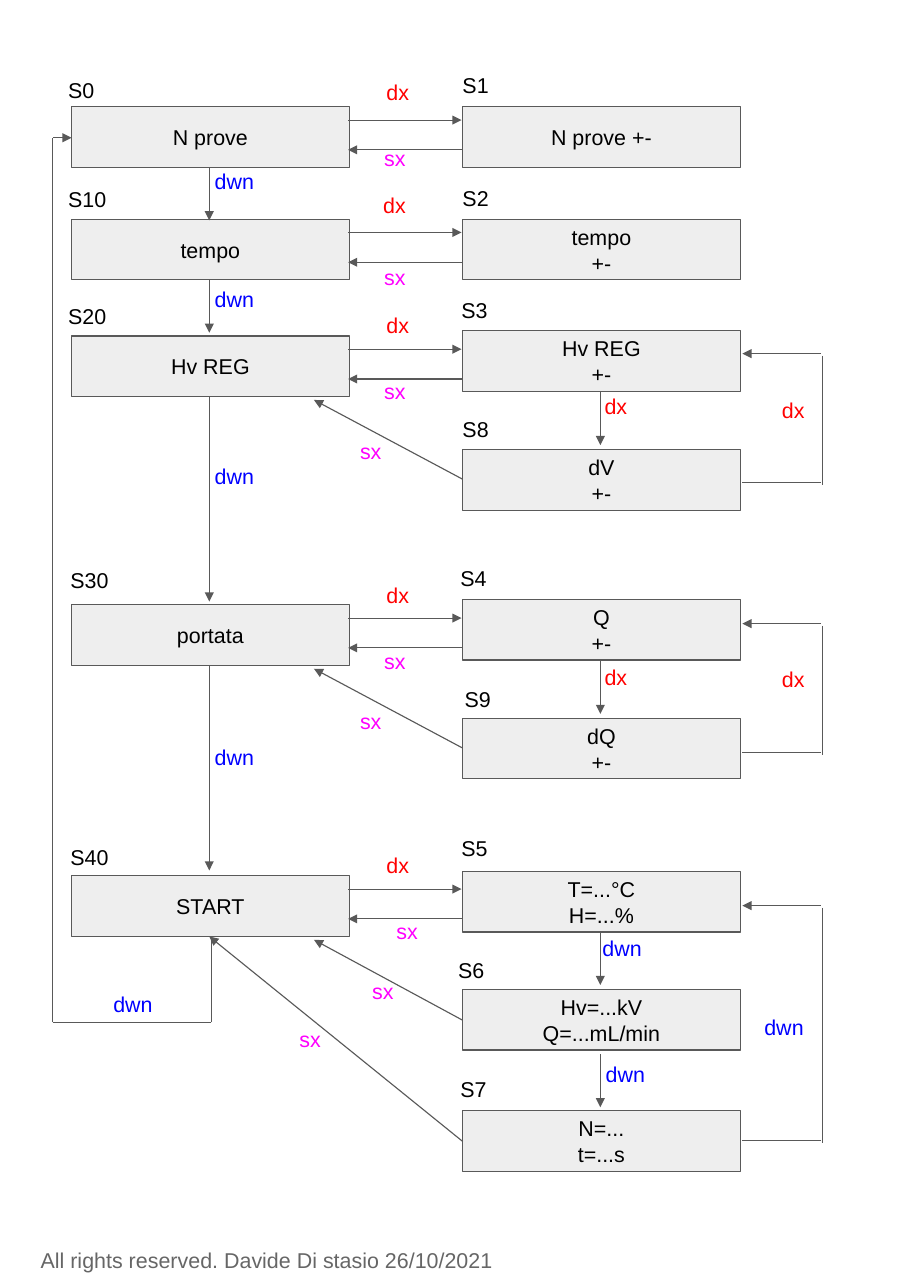
"""Build the state diagram of the instrument menu on one portrait slide."""
import pptx
import pptx.dml.color
import pptx.enum.shapes
import pptx.enum.text
import pptx.oxml
import pptx.oxml.ns
import pptx.util
from lxml import etree

Inches = pptx.util.Inches

BOX_WIDTH, BOX_HEIGHT = 2.52, 0.55
MENU_LEFT, VALUE_LEFT = 0.65, 4.2
MENU_AXIS, VALUE_AXIS = 1.9, 5.45
MENU_EDGE, VALUE_EDGE = 3.16, 4.19
LOOP_LEFT, LOOP_TURN, LOOP_RIGHT = 6.74, 7.45, 7.47
BLACK, GREY, LINE, FILL = "000000", "666666", "595959", "EEEEEE"

# Each state: name, box text, box top, name left, name top.
MENU_STATES = [
    ("S0", "N prove", 0.97, 0.52, 0.6),
    ("S10", "tempo", 1.99, 0.52, 1.59),
    ("S20", "Hv REG", 3.05, 0.52, 2.65),
    ("S30", "portata", 5.49, 0.54, 5.05),
    ("S40", "START", 7.95, 0.54, 7.56),
]
VALUE_STATES = [
    ("S1", "N prove +-", 0.97, 4.1, 0.55),
    ("S2", "tempo\n+-", 1.99, 4.1, 1.58),
    ("S3", "Hv REG\n+-", 3, 4.09, 2.6),
    ("S8", "dV\n+-", 4.08, 4.1, 3.68),
    ("S4", "Q\n+-", 5.44, 4.08, 5.03),
    ("S9", "dQ\n+-", 6.52, 4.12, 6.13),
    ("S5", "T=...°C\nH=...%", 7.91, 4.09, 7.48),
    ("S6", "Hv=...kV\nQ=...mL/min", 8.98, 4.06, 8.59),
    ("S7", "N=...\nt=...s", 10.08, 4.08, 9.67),
]
MENU_STEPS = [(1.52, 2), (2.54, 3.02), (3.6, 5.46), (6.04, 7.9)]
VALUE_STEPS = [(3.56, 4.04), (6, 6.48), (8.47, 8.94), (9.57, 10.05)]
RETURNS = [
    (4.35, 2.85, 3.63),
    (6.79, 2.85, 6.07),
    (9.26, 2.85, 8.53),
    (10.36, 1.9, 8.5),
]
LOOPS = [(3.21, 4.38), (5.66, 6.83), (8.22, 10.35)]
RESTART = [(1.92, 8.52), (1.92, 9.28), (0.48, 9.28), (0.48, 1.25), (0.65, 1.25)]
KEYS = {
    "dx": ("FF0000", 0.66, [
        (3.41, 0.62), (3.38, 1.64), (3.41, 2.73), (3.41, 5.18), (3.41, 7.63),
        (5.39, 3.47), (5.39, 5.93), (7, 3.5), (7, 5.95),
    ]),
    "sx": ("FF00FF", 0.66, [
        (3.39, 1.22), (3.39, 2.3), (3.39, 3.33), (3.17, 3.88), (3.39, 5.78),
        (3.17, 6.33), (3.5, 8.23), (3.28, 8.78), (2.62, 9.21),
    ]),
    "dwn": ("0000FF", 0.92, [
        (1.85, 1.43), (1.85, 2.5), (1.85, 4.1), (1.85, 6.65), (5.37, 8.39),
        (5.4, 9.53), (6.84, 9.1), (0.93, 8.9),
    ]),
}
FOOTER = "All rights reserved. Davide Di stasio 26/10/2021"


def color(value):
    return pptx.dml.color.RGBColor.from_string(value)


def write(shape, text, text_color, alignment):
    frame = shape.text_frame
    frame.word_wrap = True
    frame.margin_left = frame.margin_right = Inches(0.1)
    frame.margin_top = frame.margin_bottom = Inches(0.1)
    frame.text = text
    for paragraph in frame.paragraphs:
        paragraph.alignment = alignment
        for run in paragraph.runs:
            run.font.name = "Arial"
            run.font.size = pptx.util.Pt(14)
            run.font.color.rgb = color(text_color)


def add_label(slide, text, left, top, width, text_color):
    label = slide.shapes.add_textbox(
        Inches(left), Inches(top), Inches(width), Inches(0.44))
    write(label, text, text_color, pptx.enum.text.PP_ALIGN.LEFT)
    label.text_frame.auto_size = pptx.enum.text.MSO_AUTO_SIZE.SHAPE_TO_FIT_TEXT


def add_state(slide, left, name, text, top, name_left, name_top):
    box = slide.shapes.add_shape(
        pptx.enum.shapes.MSO_SHAPE.RECTANGLE,
        Inches(left), Inches(top), Inches(BOX_WIDTH), Inches(BOX_HEIGHT))
    box.shadow.inherit = False
    box.fill.solid()
    box.fill.fore_color.rgb = color(FILL)
    box.line.color.rgb = color(LINE)
    box.line.width = pptx.util.Pt(0.75)
    write(box, text, BLACK, pptx.enum.text.PP_ALIGN.CENTER)
    box.text_frame.vertical_anchor = pptx.enum.text.MSO_ANCHOR.MIDDLE
    add_label(slide, name, name_left, name_top, 0.92, BLACK)


def add_line(slide, start, end, arrow=True):
    line = slide.shapes.add_connector(
        pptx.enum.shapes.MSO_CONNECTOR.STRAIGHT,
        *(Inches(length) for length in (*start, *end)))
    line.line.color.rgb = color(LINE)
    line.line.width = pptx.util.Pt(0.75)
    if arrow:
        outline = line.line._get_or_add_ln()
        etree.SubElement(outline, pptx.oxml.ns.qn("a:tailEnd"), type="triangle")
    properties = line._element.spPr
    etree.SubElement(properties, pptx.oxml.ns.qn("a:effectLst"))


def main():
    presentation = pptx.Presentation()
    presentation.slide_width = Inches(8.27)
    presentation.slide_height = Inches(11.69)
    slide = presentation.slides.add_slide(presentation.slide_layouts[6])

    for left, states in ((MENU_LEFT, MENU_STATES), (VALUE_LEFT, VALUE_STATES)):
        for state in states:
            add_state(slide, left, *state)

    for _, _, top, _, _ in MENU_STATES:
        forward, back = top + 0.12, top + 0.39
        add_line(slide, (MENU_EDGE, forward), (VALUE_EDGE, forward))
        add_line(slide, (VALUE_EDGE, back), (MENU_EDGE, back))

    for axis, steps in ((MENU_AXIS, MENU_STEPS), (VALUE_AXIS, VALUE_STEPS)):
        for start, end in steps:
            add_line(slide, (axis, start), (axis, end))

    for start, end_left, end_top in RETURNS:
        add_line(slide, (VALUE_LEFT, start), (end_left, end_top))

    for top, bottom in LOOPS:
        add_line(slide, (LOOP_LEFT, bottom), (LOOP_TURN, bottom), arrow=False)
        add_line(slide, (LOOP_RIGHT, top + 0.02), (LOOP_RIGHT, bottom + 0.02), arrow=False)
        add_line(slide, (LOOP_TURN, top), (LOOP_LEFT, top))

    for start, end in zip(RESTART, RESTART[1:]):
        add_line(slide, start, end, arrow=end == RESTART[-1])

    for key, (key_color, width, places) in KEYS.items():
        for left, top in places:
            add_label(slide, key, left, top, width, key_color)

    add_label(slide, FOOTER, 0.27, 11.22, 7.61, GREY)
    presentation.save("out.pptx")


if __name__ == "__main__":
    main()
